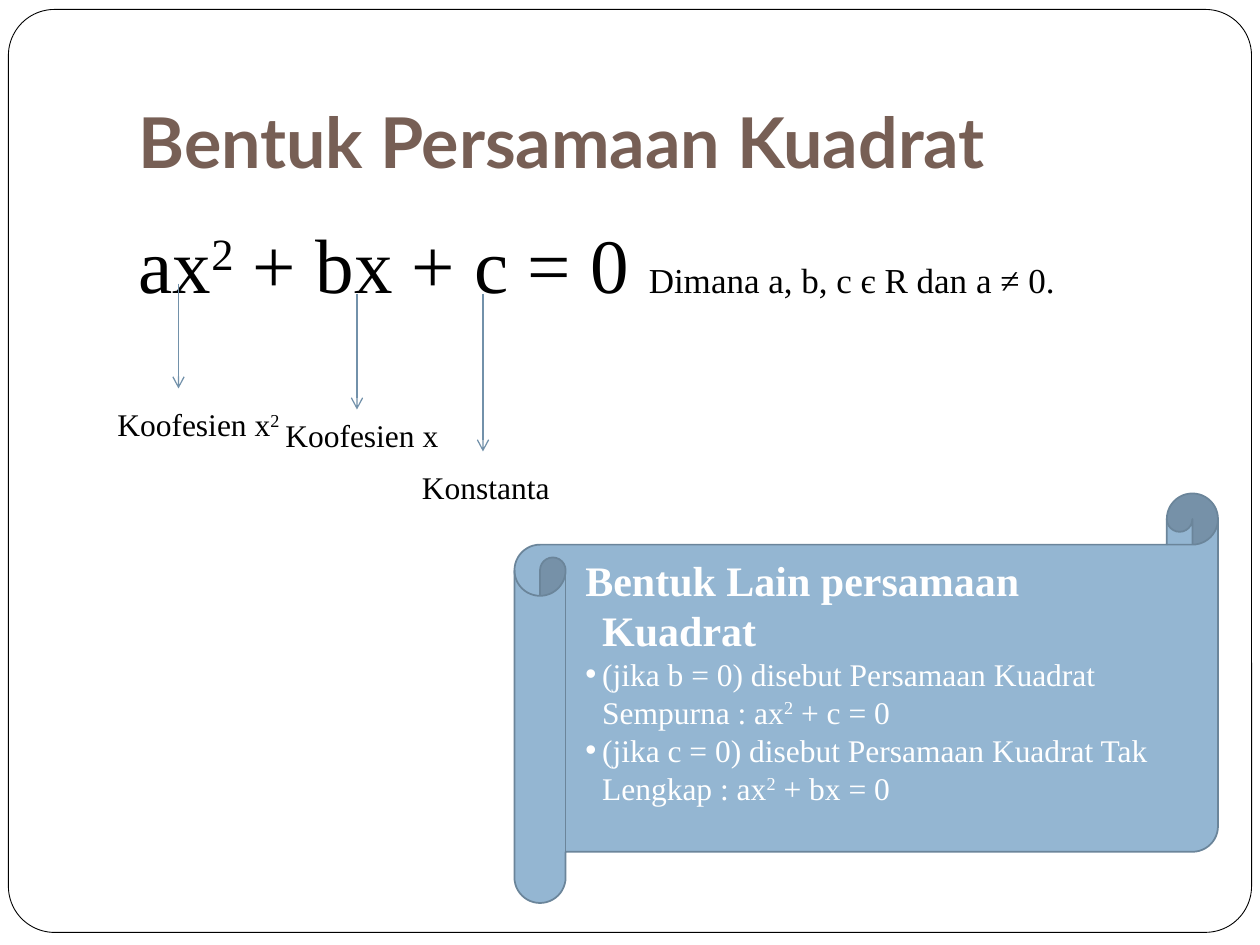
from dataclasses import dataclass

from lxml import etree
from pptx import Presentation
from pptx.dml.color import RGBColor
from pptx.enum import shapes, text
from pptx.oxml.ns import qn
from pptx.util import Pt


@dataclass
class Theme:
    brown: str = "775F55"
    black: str = "000000"
    white: str = "FFFFFF"
    blue: str = "94B6D2"
    edge: str = "6B859A"
    arrow: str = "7291AA"
    head_font: str = "Lato"
    body_font: str = "Times New Roman"
    title: int = 40
    formula: int = 44
    heading: int = 24
    note: int = 20
    label: int = 18


PX = 7620
T = Theme()


def rgb(value):
    return RGBColor.from_string(value)


def write(p, content, size=T.label, color=T.black, font=T.body_font, bold=False,
          margin=0, hanging=0, bullet=False):
    pPr = p._p.get_or_add_pPr()
    pPr.set("marL", str(margin * PX))
    pPr.set("indent", str(-hanging * PX))
    if len(pPr) == 0:
        if bullet:
            clr = etree.SubElement(pPr, qn("a:buClr"))
            etree.SubElement(clr, qn("a:srgbClr"), val=color)
            etree.SubElement(pPr, qn("a:buFont"), typeface="Arial")
            etree.SubElement(pPr, qn("a:buChar"), char="•")
        else:
            etree.SubElement(pPr, qn("a:buNone"))
    p.alignment = text.PP_ALIGN.LEFT
    p.space_before = Pt(0)
    for i, part in enumerate(content.split("^")):
        r = p.add_run()
        r.text = part
        r.font.size = Pt(size)
        r.font.name = font
        r.font.bold = bold
        r.font.color.rgb = rgb(color)
        if i % 2:
            r.font._element.set("baseline", "30000")


prs = Presentation()
prs.slide_width, prs.slide_height = 1200 * PX, 900 * PX
s = prs.slides.add_slide(prs.slide_layouts[1])
title, body = s.placeholders

frame = s.shapes.add_shape(shapes.MSO_SHAPE.ROUNDED_RECTANGLE,
                           8 * PX, 9 * PX, 1184 * PX, 879 * PX)
frame.adjustments[0] = 0.05
frame.shadow.inherit = False
frame.fill.solid()
frame.fill.fore_color.rgb = rgb(T.white)
frame.line.color.rgb = rgb(T.black)
frame.line.width = Pt(0.5)
title.element.addprevious(frame.element)

title.left, title.top, title.width, title.height = 120 * PX, 36 * PX, 1020 * PX, 150 * PX
tf = title.text_frame
tf.auto_size = text.MSO_AUTO_SIZE.NONE
tf.vertical_anchor = text.MSO_ANCHOR.BOTTOM
tf.margin_bottom = 12 * PX
write(tf.paragraphs[0], "Bentuk Persamaan Kuadrat", size=T.title, color=T.brown,
      font=T.head_font, bold=True)

body.left, body.top, body.width, body.height = 120 * PX, 190 * PX, 1020 * PX, 600 * PX
tf = body.text_frame
tf.auto_size = text.MSO_AUTO_SIZE.NONE
tf.margin_top = 16 * PX
p = tf.paragraphs[0]
write(p, "ax^2^ + bx + c = 0 ", size=T.formula, margin=36, hanging=36)
write(p, "Dimana a, b, c є R dan a ≠ 0.", size=T.note, margin=36, hanging=36)

for x, top, bottom in [(170, 270, 370), (340, 280, 390), (460, 280, 430)]:
    line = s.shapes.add_connector(shapes.MSO_CONNECTOR.STRAIGHT,
                                  x * PX, top * PX, x * PX, bottom * PX)
    line.line.color.rgb = rgb(T.arrow)
    line.line.width = Pt(0.75)
    etree.SubElement(line.line._get_or_add_ln(), qn("a:tailEnd"), type="arrow")
    etree.SubElement(line.element.spPr, qn("a:effectLst"))

labels = [("Koofesien x^2", 100, 380, 180), ("Koofesien x", 260, 390, 180),
          ("Konstanta", 390, 440, 150)]
for label, x, y, width in labels:
    sp = s.shapes.add_textbox(x * PX, y * PX, width * PX, 84 * PX)
    tf = sp.text_frame
    tf.word_wrap = True
    write(tf.paragraphs[0], label)

scroll = s.shapes.add_shape(shapes.MSO_SHAPE.HORIZONTAL_SCROLL,
                            490 * PX, 470 * PX, 670 * PX, 390 * PX)
scroll.adjustments[0] = 0.125
scroll.shadow.inherit = False
scroll.fill.solid()
scroll.fill.fore_color.rgb = rgb(T.blue)
scroll.line.color.rgb = rgb(T.edge)
scroll.line.width = Pt(1)
tf = scroll.text_frame
tf.word_wrap = True
tf.vertical_anchor = text.MSO_ANCHOR.MIDDLE
tf.margin_bottom = 40 * PX
write(tf.paragraphs[0], "Bentuk Lain persamaan Kuadrat", size=T.heading,
      color=T.white, bold=True, margin=23, hanging=16)
for item in ["(jika b = 0) disebut Persamaan Kuadrat Sempurna : ax^2^ + c = 0",
             "(jika c = 0) disebut Persamaan Kuadrat Tak Lengkap : ax^2^ + bx = 0"]:
    write(tf.add_paragraph(), item, color=T.white, margin=23, hanging=16, bullet=True)

prs.save("out.pptx")
